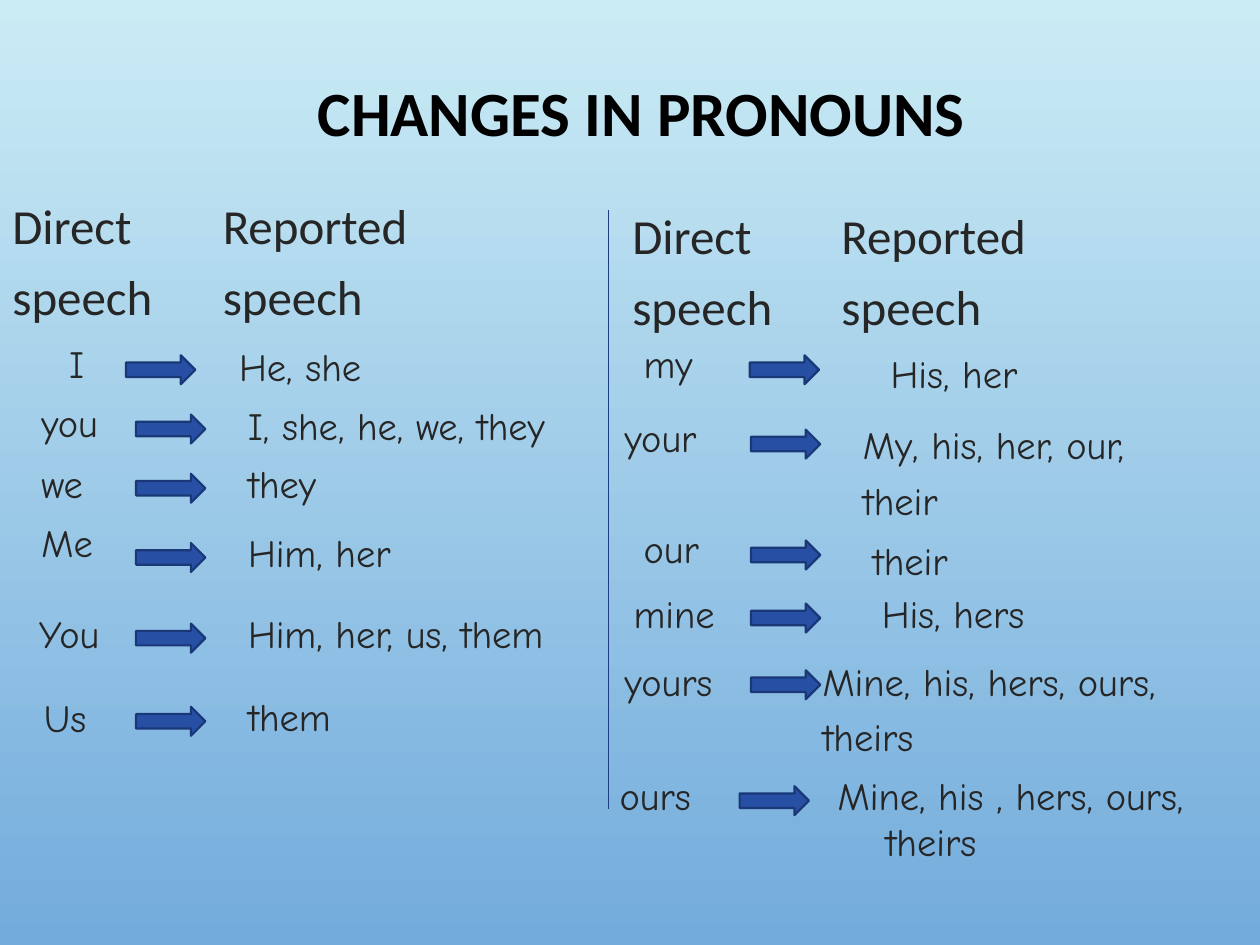
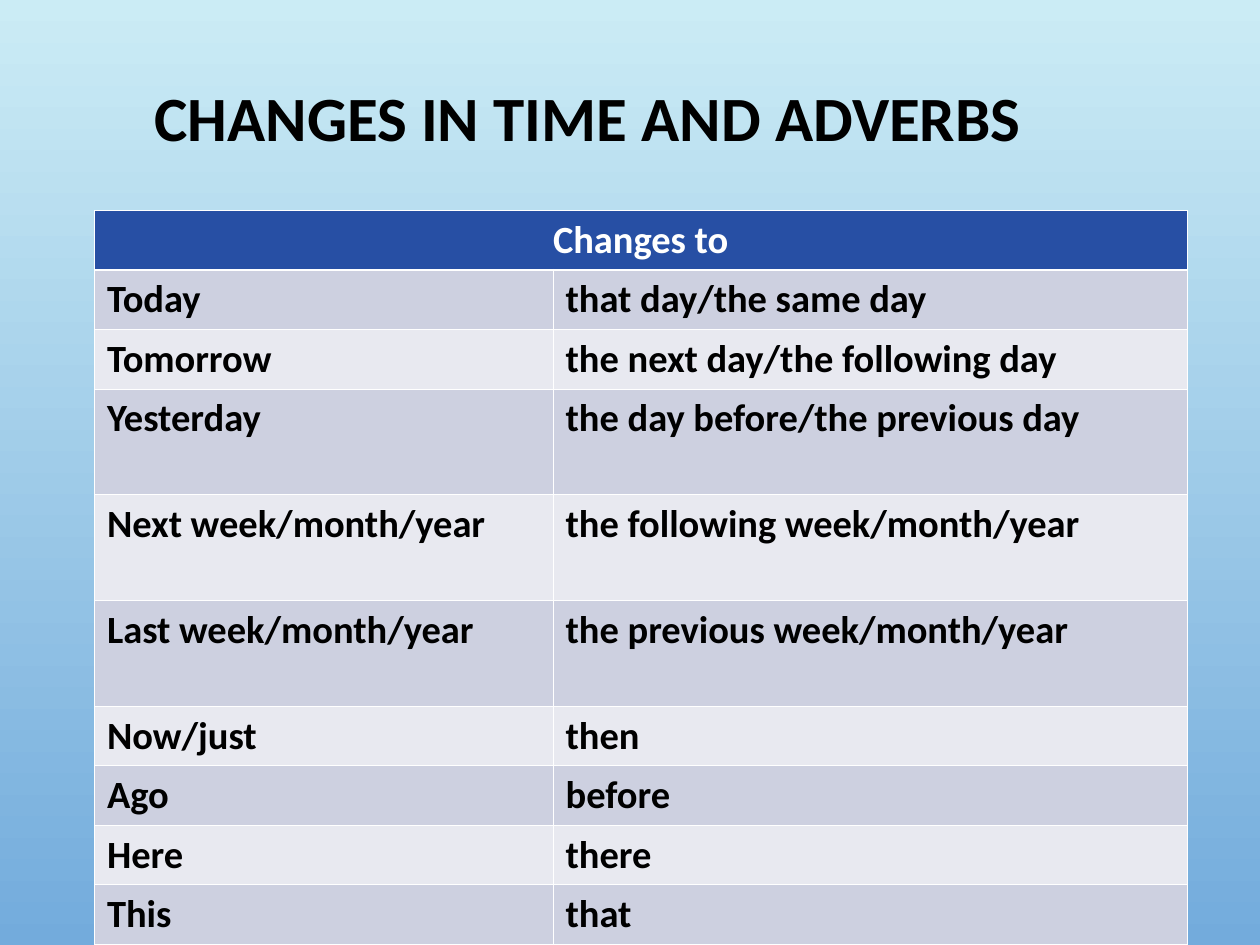
from dataclasses import dataclass

from lxml import etree
from pptx import Presentation
from pptx.dml.color import RGBColor
from pptx.enum import shapes, text
from pptx.oxml import ns
from pptx.util import Inches, Pt

COLORS = {
    "sky_top": "CBECF5", "sky_bottom": "73ABDC", "title": "000000",
    "body": "262626", "blue": "274FA4", "arrow_edge": "1A3877",
    "divider": "1D3D82", "white": "FFFFFF",
    "band_dark": "CDD0E0", "band_light": "E8E9F0",
}
TITLE_FONT, PRONOUN_FONT = "Calibri", "Comic Neue"
HANG = 0.38
BOX_HEIGHT = 0.62
ARROW_SIZE = (0.55, 0.23)


@dataclass
class Label:
    lines: tuple[str, ...]
    left: float
    top: float
    width: float
    indented: bool = False
    height: float = BOX_HEIGHT
    font: str = PRONOUN_FONT
    size: float = 22


@dataclass
class Change:
    direct: Label
    reported: Label
    arrow: tuple[float, float]


def rgb(name: str) -> RGBColor:
    return RGBColor.from_string(COLORS[name])


def add_run(p, words: str, font: str, size: float, color: str, bold: bool = False) -> None:
    r = p.add_run()
    r.text = words
    r.font.name, r.font.size, r.font.bold = font, Pt(size), bold
    r.font.color.rgb = rgb(color)


def set_background(prs) -> None:
    fill = prs.slide_master.background.fill
    fill.gradient()
    fill.gradient_angle = 270
    for stop, name in zip(fill.gradient_stops, ("sky_top", "sky_bottom")):
        stop.color.rgb = rgb(name)


def add_titled_slide(prs, title: str, left: float, top: float, width: float, height: float):
    s = prs.slides.add_slide(prs.slide_layouts[5])
    sp = s.shapes.title
    sp.left, sp.top, sp.width, sp.height = map(Inches, (left, top, width, height))
    tf = sp.text_frame
    tf.vertical_anchor = text.MSO_ANCHOR.MIDDLE
    p = tf.paragraphs[0]
    p.alignment, p.line_spacing = text.PP_ALIGN.CENTER, 0.9
    add_run(p, title, TITLE_FONT, 36, "title", bold=True)
    return s


def add_label(s, label: Label) -> None:
    sp = s.shapes.add_textbox(*map(Inches, (label.left, label.top, label.width, label.height)))
    tf = sp.text_frame
    tf.word_wrap = True
    for i, line in enumerate(label.lines):
        p = tf.add_paragraph() if i else tf.paragraphs[0]
        p.space_before = Pt(label.size / 4)
        pPr = p._p.get_or_add_pPr()
        pPr.set("marL", str(Inches(HANG)))
        pPr.set("indent", str(0 if label.indented else -Inches(HANG)))
        add_run(p, line, label.font, label.size, "body")


def add_arrow(s, left: float, top: float) -> None:
    sp = s.shapes.add_shape(shapes.MSO_SHAPE.RIGHT_ARROW,
                            *map(Inches, (left, top, *ARROW_SIZE)))
    sp.shadow.inherit = False
    sp.fill.solid()
    sp.fill.fore_color.rgb = rgb("blue")
    sp.line.color.rgb = rgb("arrow_edge")
    sp.line.width = Pt(1.25)


def add_divider(s, x: float, top: float, bottom: float) -> None:
    line = s.shapes.add_connector(shapes.MSO_CONNECTOR.STRAIGHT,
                                  *map(Inches, (x, top, x, bottom)))
    line.line.color.rgb = rgb("divider")
    line.line.width = Pt(0.75)
    etree.SubElement(line._element.spPr, ns.qn("a:effectLst"))


def set_border(tcPr, side: str, width: float) -> None:
    ln = etree.SubElement(tcPr, ns.qn(f"a:ln{side}"), w=str(Pt(width)))
    fill = etree.SubElement(ln, ns.qn("a:solidFill"))
    etree.SubElement(fill, ns.qn("a:srgbClr"), val=COLORS["white"])


def style_cell(cell, row: int) -> None:
    tcPr = cell._tc.get_or_add_tcPr()
    thick_side = {0: "B", 1: "T"}.get(row)
    for side in "LRTB":
        set_border(tcPr, side, 1.47 if side == thick_side else 0.45)
    cell.fill.solid()
    band = "band_dark" if row % 2 else "band_light"
    cell.fill.fore_color.rgb = rgb(band if row else "blue")


# Slide 1: each pronoun, its arrow and what it becomes
CHANGES = [
    Change(Label(("I",), 0.45, 2.65, 0.64),
           Label(("He, she",), 1.42, 2.67, 3.13, True), (1, 2.82)),
    Change(Label(("you",), 0.23, 3.12, 0.87),
           Label(("I, she, he, we, they",), 1.49, 3.14, 3.83, True), (1.08, 3.29)),
    Change(Label(("we",), 0.23, 3.6, 0.87),
           Label(("they",), 1.49, 3.6, 3.12, True), (1.08, 3.76)),
    Change(Label(("Me",), 0.23, 4.07, 1.02),
           Label(("Him, her",), 1.49, 4.15, 3.12, True), (1.08, 4.31)),
    Change(Label(("You",), 0.21, 4.79, 1.1),
           Label(("Him, her, us, them",), 1.49, 4.79, 3.52, True), (1.08, 4.95)),
    Change(Label(("Us",), 0.25, 5.46, 1),
           Label(("them",), 1.49, 5.45, 3.52, True), (1.08, 5.61)),
    Change(Label(("my",), 5.01, 2.65, 0.71),
           Label(("His, her",), 6.59, 2.73, 3.13, True), (5.95, 2.82)),
    Change(Label(("your",), 4.86, 3.24, 1.16),
           Label(("My, his, her, our,", "their"), 6.75, 3.29, 3.83), (5.96, 3.41)),
    Change(Label(("our",), 5.01, 4.12, 0.85),
           Label(("their",), 6.83, 4.21, 2.17), (5.96, 4.29)),
    Change(Label(("mine",), 4.93, 4.63, 1.01),
           Label(("His, hers",), 6.9, 4.63, 3.13), (5.96, 4.79)),
    Change(Label(("yours",), 4.86, 5.17, 1.08),
           Label(("Mine, his, hers, ours,", "theirs"), 6.43, 5.17, 5.16), (5.96, 5.32)),
    Change(Label(("ours",), 4.82, 6.08, 1.24),
           Label(("Mine, his , hers, ours, theirs",), 6.55, 6.08, 3.7), (5.87, 6.24)),
]
HEADING_PLACES = [(0, 1.67, 1.5), (4.92, 6.58, 1.58)]


def build_pronouns(prs) -> None:
    s = add_titled_slide(prs, "CHANGES IN PRONOUNS", 0.59, 0.6, 9, 0.65)
    for direct_left, reported_left, top in HEADING_PLACES:
        for word, left, width in (("Direct", direct_left, 3.29),
                                  ("Reported", reported_left, 2.17)):
            add_label(s, Label((word, "speech"), left, top, width,
                               height=0.77, font=TITLE_FONT, size=28))
    for change in CHANGES:
        add_label(s, change.direct)
        add_label(s, change.reported)
        add_arrow(s, *change.arrow)
    add_divider(s, 4.83, 1.67, 6.42)


# Slide 2: table of time expressions and adverbs
ADVERBS = [
    ("Changes to", ""),
    ("Today", "that day/the same day"),
    ("Tomorrow", "the next day/the following day"),
    ("Yesterday", "the day before/the previous day"),
    ("Next week/month/year", "the following week/month/year"),
    ("Last week/month/year", "the previous week/month/year"),
    ("Now/just", "then"),
    ("Ago", "before"),
    ("Here", "there"),
    ("This", "that"),
]
COLUMN_WIDTHS = (3.64, 5.03)
ROW_HEIGHT, TALL_ROW_HEIGHT = 0.47, 0.84
TALL_ROWS = (3, 4, 5)


def build_adverbs(prs) -> None:
    s = add_titled_slide(prs, "CHANGES IN TIME AND ADVERBS", 0.25, 0.6, 8.83, 0.73)
    heights = [TALL_ROW_HEIGHT if i in TALL_ROWS else ROW_HEIGHT for i in range(len(ADVERBS))]
    table = s.shapes.add_table(len(ADVERBS), len(COLUMN_WIDTHS), *map(
        Inches, (0.75, 1.67, sum(COLUMN_WIDTHS), sum(heights)))).table
    for column, width in zip(table.columns, COLUMN_WIDTHS):
        column.width = Inches(width)
    table.cell(0, 0).merge(table.cell(0, 1))
    for row, (pair, height) in enumerate(zip(ADVERBS, heights)):
        table.rows[row].height = Inches(height)
        for col, words in enumerate(pair):
            cell = table.cell(row, col)
            style_cell(cell, row)
            if words:
                p = cell.text_frame.paragraphs[0]
                p.alignment = text.PP_ALIGN.LEFT if row else text.PP_ALIGN.CENTER
                add_run(p, words, TITLE_FONT, 22, "title" if row else "white", bold=True)


def main() -> None:
    prs = Presentation()
    prs.slide_width, prs.slide_height = Inches(10), Inches(7.5)
    set_background(prs)
    build_pronouns(prs)
    build_adverbs(prs)
    prs.save("out.pptx")


if __name__ == "__main__":
    main()
